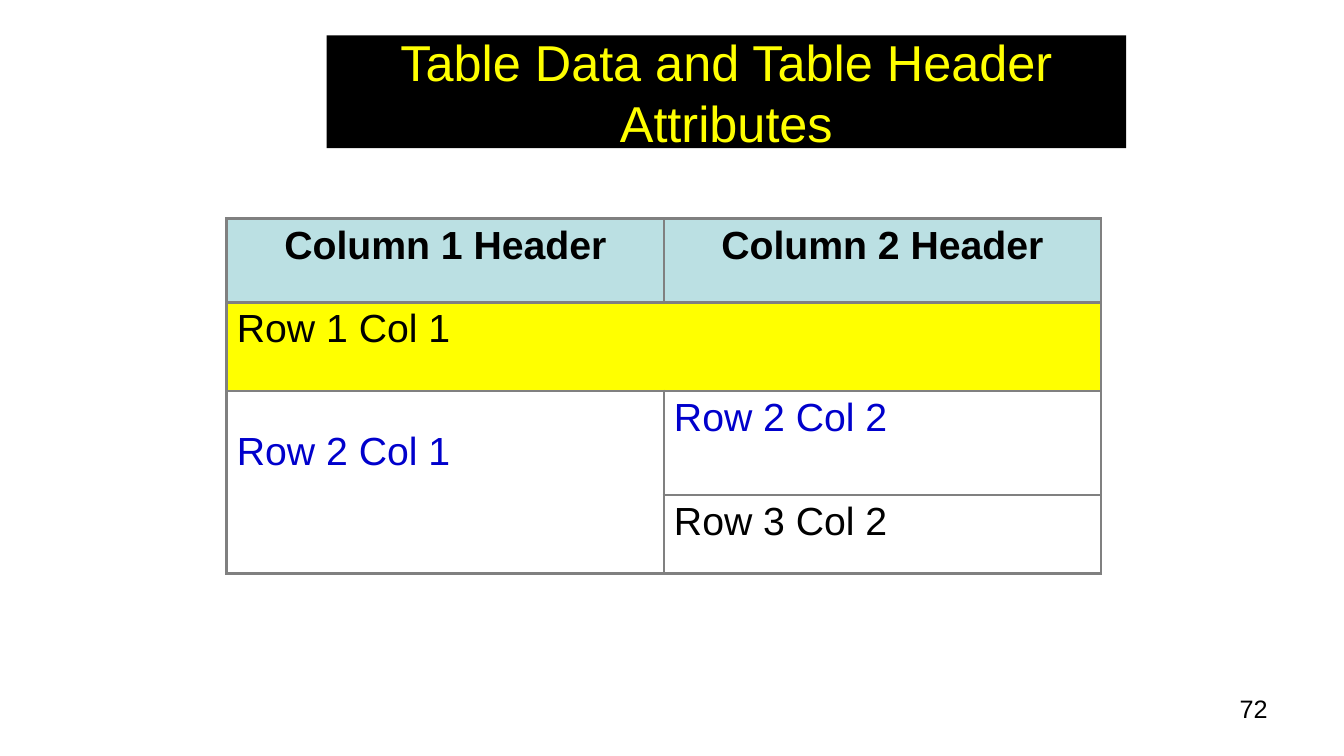
from pptx import Presentation
from pptx.dml.color import RGBColor
from pptx.enum.shapes import MSO_SHAPE
from pptx.enum.text import MSO_ANCHOR, PP_ALIGN
from pptx.oxml.ns import qn
from pptx.util import Inches, Pt
from lxml.etree import SubElement

BLACK, YELLOW, BLUE = "000000", "FFFF00", "0000CC"
HEADER_FILL, BORDER = "BBE0E3", "808080"
OPEN_SIDES = {(1, 0): "R", (1, 1): "L", (2, 0): "B", (3, 0): "T"}


def color(value):
    return RGBColor.from_string(value)


def write(frame, text, size, ink, align=PP_ALIGN.LEFT, bold=False):
    frame.word_wrap = True
    para = frame.paragraphs[0]
    para.text = text
    para.alignment = align
    font = para.font
    font.name, font.size, font.bold = "Arial", Pt(size), bold
    font.color.rgb = color(ink)


def add_title(page, left, top, width, height):
    box = page.shapes.add_shape(
        MSO_SHAPE.RECTANGLE, Inches(left), Inches(top), Inches(width), Inches(height))
    box.shadow.inherit = False
    box.fill.solid()
    box.fill.fore_color.rgb = color(BLACK)
    box.line.fill.background()
    box.text_frame.vertical_anchor = MSO_ANCHOR.MIDDLE
    write(box.text_frame, "Table Data and Table Header Attributes", 36, YELLOW, PP_ALIGN.CENTER)


def add_page_number(page, left, top, width, height):
    box = page.shapes.add_textbox(Inches(left), Inches(top), Inches(width), Inches(height))
    write(box.text_frame, "72", 18, BLACK, PP_ALIGN.RIGHT)


def style_cell(cell, fill, open_side):
    properties = cell._tc.get_or_add_tcPr()
    for side in "LRTB":
        line = SubElement(properties, qn(f"a:ln{side}"), w=str(Pt(2.25)))
        if side == open_side:
            SubElement(line, qn("a:noFill"))
        else:
            solid = SubElement(line, qn("a:solidFill"))
            SubElement(solid, qn("a:srgbClr"), val=BORDER)
    if fill:
        cell.fill.solid()
        cell.fill.fore_color.rgb = color(fill)
    else:
        cell.fill.background()


def add_span_table(page, left, top, width, row_heights):
    table = page.shapes.add_table(
        len(row_heights), 2, Inches(left), Inches(top),
        Inches(width), Inches(sum(row_heights))).table
    table.first_row = table.horz_banding = False
    for column in table.columns:
        column.width = Inches(width / 2)
    fills = (HEADER_FILL, YELLOW, None, None)
    for row_index, (row, height, fill) in enumerate(zip(table.rows, row_heights, fills)):
        row.height = Inches(height)
        for column_index, cell in enumerate(row.cells):
            style_cell(cell, fill, OPEN_SIDES.get((row_index, column_index)))

    table.cell(2, 0).margin_top = Inches(0.39)

    for column in range(2):
        write(table.cell(0, column).text_frame, f"Column {column + 1} Header",
              28, BLACK, PP_ALIGN.CENTER, True)
    for row, column, ink in ((1, 0, BLACK), (2, 0, BLUE), (2, 1, BLUE), (3, 1, BLACK)):
        write(table.cell(row, column).text_frame, f"Row {row} Col {column + 1}", 28, ink)


def main():
    deck = Presentation()
    deck.slide_width, deck.slide_height = Inches(13.33), Inches(7.5)
    page = deck.slides.add_slide(deck.slide_layouts[6])
    add_page_number(page, 9.56, 6.83, 3.11, 0.52)
    add_title(page, 3.24, 0.35, 7.93, 1.12)
    add_span_table(page, 2.25, 2.17, 8.67, (0.83, 0.88, 1.03, 0.78))
    deck.save("out.pptx")


if __name__ == "__main__":
    main()
